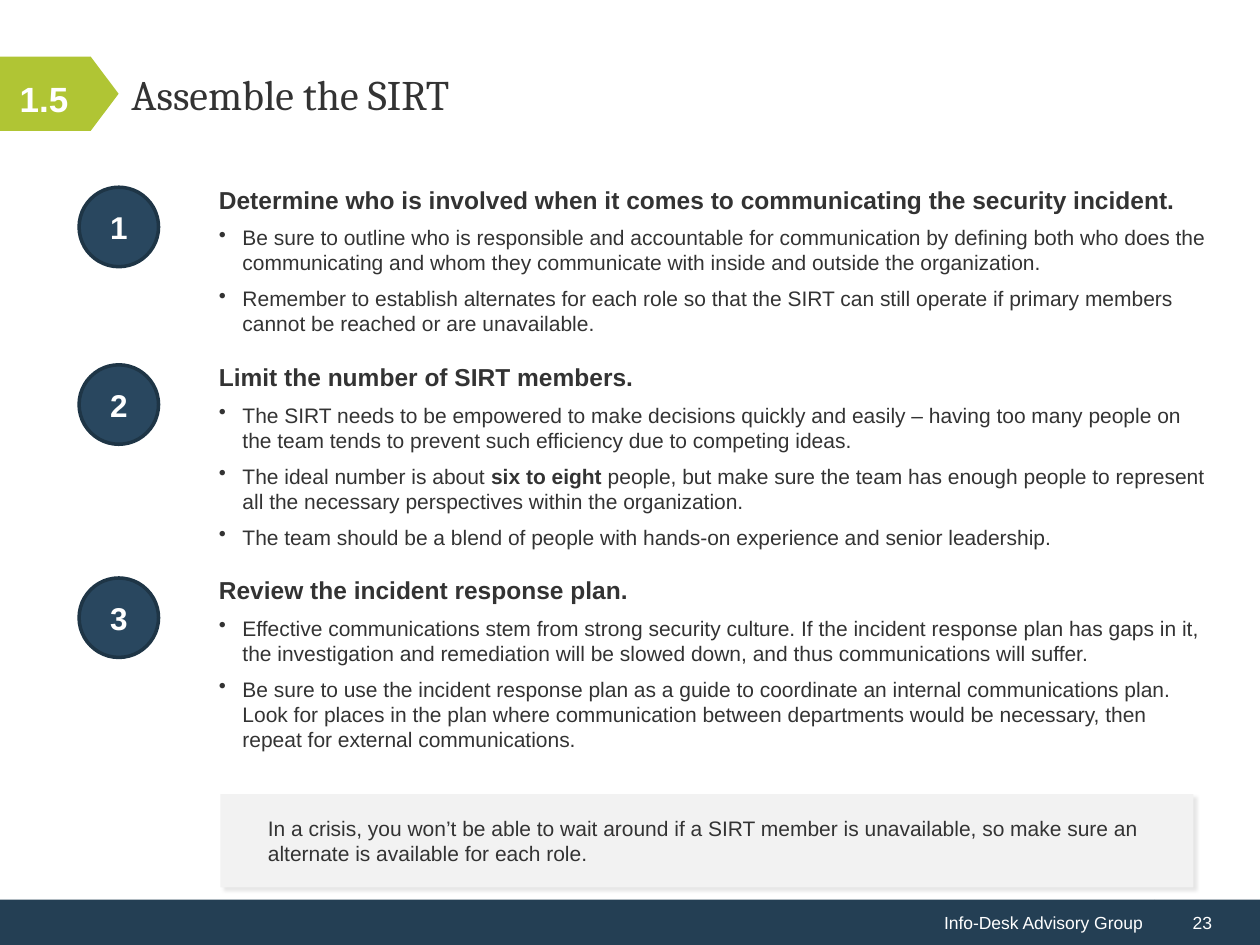
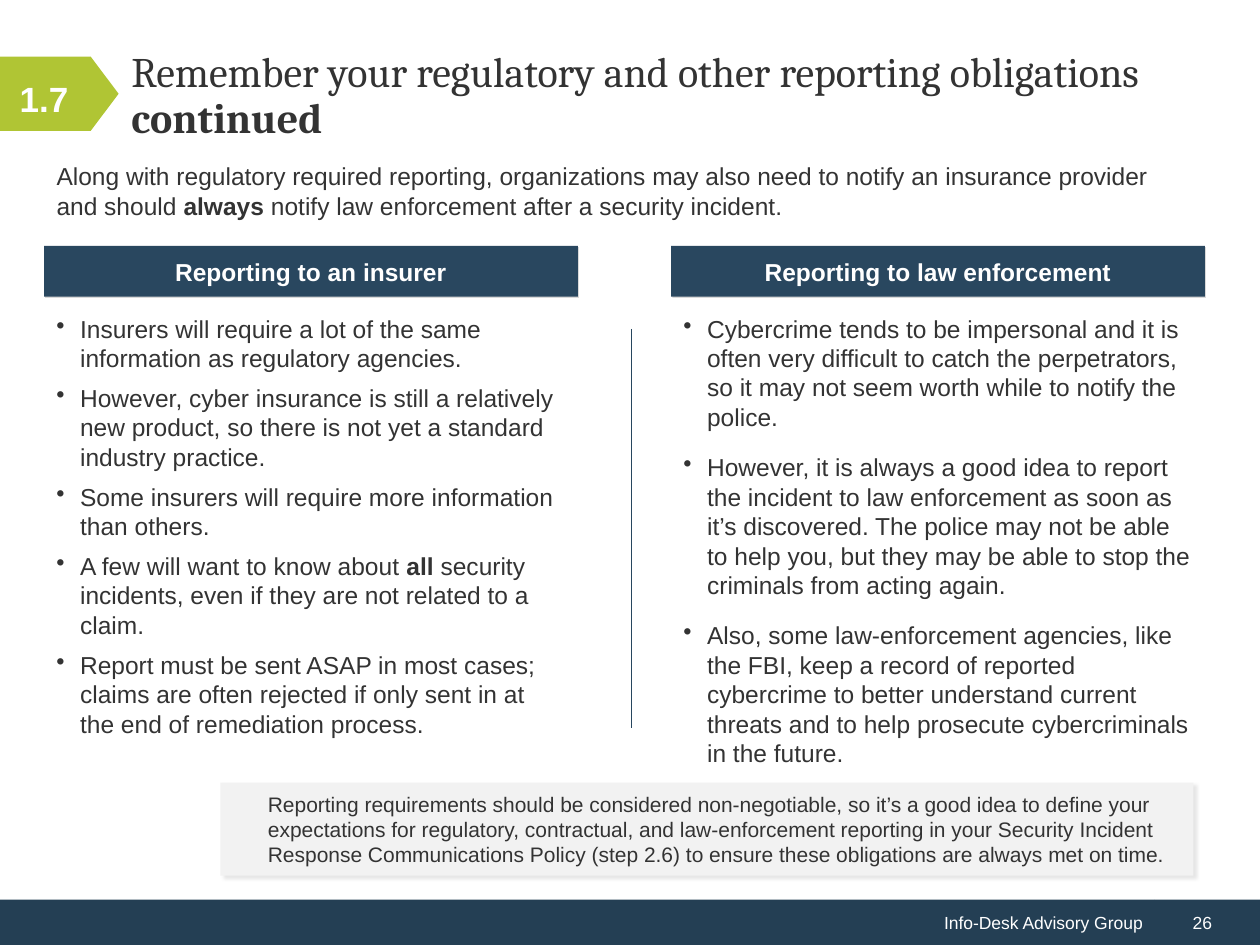
from lxml import etree
from pptx import Presentation
from pptx.dml.color import RGBColor
from pptx.enum.shapes import MSO_CONNECTOR, MSO_SHAPE as SHAPE
from pptx.enum.text import MSO_ANCHOR as ANCHOR, PP_ALIGN as ALIGN
from pptx.oxml.ns import qn
from pptx.util import Pt

COLORS = {
    "text": "333333", "white": "FFFFFF", "footer": "243F54", "navy": "29475F",
    "ring": "1E3546", "green": "B0C534", "panel": "F2F2F2", "rule": "27465E",
    "shadow": "000000",
}
HANG = 13.5

STEPS = [
    (102, "Determine who is involved when it comes to communicating the security incident.", [
        "Be sure to outline who is responsible and accountable for communication by defining both "
        "who does the communicating and whom they communicate with inside and outside the organization.",
        "Remember to establish alternates for each role so that the SIRT can still operate if primary "
        "members cannot be reached or are unavailable.",
    ]),
    (203.5, "Limit the number of SIRT members.", [
        "The SIRT needs to be empowered to make decisions quickly and easily – having too many people "
        "on the team tends to prevent such efficiency due to competing ideas.",
        "The ideal number is about **six to eight** people, but make sure the team has enough people "
        "to represent all the necessary perspectives within the organization.",
        "The team should be a blend of people with hands-on experience and senior leadership.",
    ]),
    (325.3, "Review the incident response plan.", [
        "Effective communications stem from strong security culture. If the incident response plan has "
        "gaps in it, the investigation and remediation will be slowed down, and thus communications "
        "will suffer.",
        "Be sure to use the incident response plan as a guide to coordinate an internal communications "
        "plan. Look for places in the plan where communication between departments would be necessary, "
        "then repeat for external communications.",
    ]),
]

REPORTING = [
    (25.2, "Reporting to an insurer", 6, [
        "Insurers will require a lot of the same information as regulatory agencies.",
        "However, cyber insurance is still a relatively new product, so there is not yet a standard "
        "industry practice.",
        "Some insurers will require more information than others.",
        "A few will want to know about **all** security incidents, even if they are not related to a claim.",
        "Report must be sent ASAP in most cases; claims are often rejected if only sent in at the end "
        "of remediation process.",
    ]),
    (383.5, "Reporting to law enforcement", 12, [
        "Cybercrime tends to be impersonal and it is often very difficult to catch the perpetrators, "
        "so it may not seem worth while to notify the police.",
        "However, it is always a good idea to report the incident to law enforcement as soon as it’s "
        "discovered. The police may not be able to help you, but they may be able to stop the "
        "criminals from acting again.",
        "Also, some law-enforcement agencies, like the FBI, keep a record of reported cybercrime to "
        "better understand current threats and to help prosecute cybercriminals in the future.",
    ]),
]


def rgb(name):
    """Return the named colour."""
    return RGBColor.from_string(COLORS[name])


def write(tf, text, size=12, color="text", font="Arial", bold=False, align=ALIGN.LEFT,
          after=0, leading=None, indent=0, bullet=False):
    """Add a paragraph in which ** switches bold on and off."""
    p = tf.paragraphs[0] if not tf.paragraphs[0].runs else tf.add_paragraph()
    pPr = p._p.get_or_add_pPr()
    pPr.set("marL", str(Pt(HANG if bullet else indent)))
    pPr.set("indent", str(Pt(-HANG if bullet else 0)))
    if bullet:
        etree.SubElement(pPr, qn("a:buChar"), char="•")
    p.alignment = align
    p.space_after = Pt(after)
    if leading:
        p.line_spacing = Pt(leading)
    for i, part in enumerate(text.split("**")):
        if part:
            r = p.add_run()
            r.text = part
            r.font.name, r.font.size = font, Pt(size)
            r.font.bold = bold or i % 2 == 1
            r.font.color.rgb = rgb(color)


def add_box(s, x, y, w, h, anchor=ANCHOR.TOP):
    """Add a wrapping text box and return its text frame."""
    tf = s.shapes.add_textbox(Pt(x), Pt(y), Pt(w), Pt(h)).text_frame
    tf.word_wrap = True
    tf.vertical_anchor = anchor
    return tf


def add_block(s, x, y, w, h, fill, kind=SHAPE.RECTANGLE, line=None):
    """Add a filled shape with middle-anchored text."""
    sp = s.shapes.add_shape(kind, Pt(x), Pt(y), Pt(w), Pt(h))
    sp.shadow.inherit = False
    sp.fill.solid()
    sp.fill.fore_color.rgb = rgb(fill)
    if line:
        sp.line.color.rgb = rgb(line)
        sp.line.width = Pt(2)
    else:
        sp.line.fill.background()
    sp.text_frame.word_wrap = True
    sp.text_frame.vertical_anchor = ANCHOR.MIDDLE
    return sp


def add_shadow(sp, alpha, blur, dist):
    """Give a shape a soft shadow towards the lower right."""
    effects = sp._element.spPr.find(qn("a:effectLst"))
    outer = etree.SubElement(effects, qn("a:outerShdw"), blurRad=str(Pt(blur)),
                             dist=str(Pt(dist)), dir="2700000", algn="tl", rotWithShape="0")
    color = etree.SubElement(outer, qn("a:srgbClr"), val=COLORS["shadow"])
    etree.SubElement(color, qn("a:alpha"), val=str(alpha * 1000))


def add_rule(s, x, top, bottom):
    """Add a thin vertical divider."""
    c = s.shapes.add_connector(MSO_CONNECTOR.STRAIGHT, Pt(x), Pt(top), Pt(x), Pt(bottom))
    c.line.color.rgb = rgb("rule")
    c.line.width = Pt(0.75)
    etree.SubElement(c._element.spPr, qn("a:effectLst"))


def add_callout(s, y, text):
    """Add the grey note panel above the footer."""
    sp = add_block(s, 126, y, 556, 53.3, "panel")
    add_shadow(sp, 10, 2, 2)
    write(sp.text_frame, text, indent=20)


def add_bullets(tf, items, size, after):
    """Add a bulleted paragraph for each item."""
    for item in items:
        write(tf, item, size=size, after=after, bullet=True)


def add_step(s, number, top, heading, items):
    """Add a numbered circle with its heading and bullets."""
    sp = add_block(s, 45.2, top + 5, 45.4, 45.4, "navy", SHAPE.OVAL, "ring")
    write(sp.text_frame, str(number), size=18, color="white", bold=True, align=ALIGN.CENTER)
    tf = add_box(s, 118, top, 581, 100)
    write(tf, heading, size=14, bold=True, after=6)
    add_bullets(tf, items, 12, 6)


def add_column(s, x, heading, after, items):
    """Add a column of bullets under a heading bar."""
    sp = add_block(s, x, 140.5, 305, 29, "navy")
    add_shadow(sp, 14, 0, 1)
    write(sp.text_frame, heading, size=14, color="white", bold=True, align=ALIGN.CENTER)
    add_bullets(add_box(s, x, 175.7, 305, 260), items, 14, after)


def add_slide(prs, step, title, page):
    """Add a slide with footer, step tag and title."""
    s = prs.slides.add_slide(prs.slide_layouts[6])
    footer = add_block(s, 0, 514, 660, 26, "footer")
    write(footer.text_frame, "Info-Desk Advisory Group", size=10, color="white", align=ALIGN.RIGHT)
    number = add_block(s, 660, 514, 60, 26, "footer")
    write(number.text_frame, str(page), size=10, color="white", indent=14.4)
    tag = add_block(s, 0, 32.4, 67.8, 42.4, "green", SHAPE.PENTAGON)
    tag.adjustments[0] = 0.376
    write(add_box(s, 0, 21, 50.4, 70, ANCHOR.MIDDLE), step, size=20, color="white", bold=True,
          align=ALIGN.CENTER)
    write(add_box(s, 68, 21, 630, 67.7, ANCHOR.MIDDLE), title, size=24, font="Cambria", leading=26)
    return s


def main():
    """Build both slides and save them."""
    prs = Presentation()
    prs.slide_width, prs.slide_height = Pt(720), Pt(540)

    s = add_slide(prs, "1.5", "Assemble the SIRT", 23)
    for number, step in enumerate(STEPS, 1):
        add_step(s, number, *step)
    add_callout(s, 453.8, "In a crisis, you won’t be able to wait around if a SIRT member is "
                "unavailable, so make sure an alternate is available for each role.")

    s = add_slide(prs, "1.7", "Remember your regulatory and other reporting obligations** continued**", 26)
    write(add_box(s, 25.2, 88.6, 663, 41),
          "Along with regulatory required reporting, organizations may also need to notify an "
          "insurance provider and should **always** notify law enforcement after a security incident.",
          size=14)
    add_rule(s, 360.8, 188, 416)
    add_callout(s, 447.2, "Reporting requirements should be considered non-negotiable, so it’s a good "
                "idea to define your expectations for regulatory, contractual, and law-enforcement "
                "reporting in your Security Incident Response Communications Policy (step 2.6) to "
                "ensure these obligations are always met on time.")
    for column in REPORTING:
        add_column(s, *column)

    prs.save("out.pptx")


if __name__ == "__main__":
    main()
